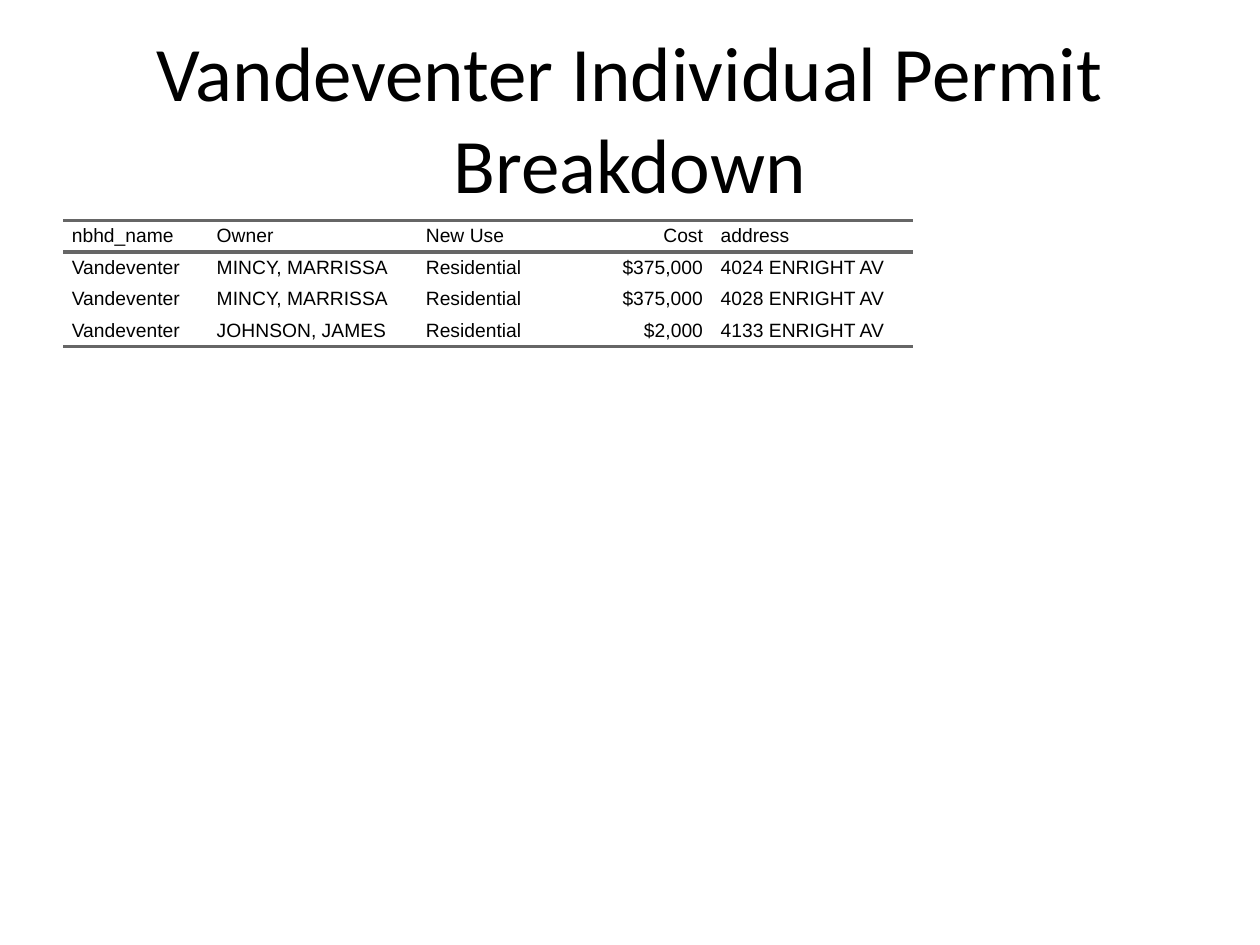
import dataclasses

import lxml.etree
import pptx
import pptx.dml.color
import pptx.enum.text
import pptx.oxml.ns
import pptx.util

Inches = pptx.util.Inches
ALIGN = pptx.enum.text.PP_ALIGN
MIDDLE = pptx.enum.text.MSO_ANCHOR.MIDDLE

HEADER = ("nbhd_name", "Owner", "New Use", "Cost", "address")
PERMITS = (
    ("Vandeventer", "MINCY, MARRISSA", "Residential", "$375,000", "4024 ENRIGHT AV"),
    ("Vandeventer", "MINCY, MARRISSA", "Residential", "$375,000", "4028 ENRIGHT AV"),
    ("Vandeventer", "JOHNSON, JAMES", "Residential", "$2,000", "4133 ENRIGHT AV"),
)
COLUMN_WIDTHS = (1.15, 1.66, 1.04, 1.3, 1.6)
ROW_HEIGHT = 0.25
COST_COLUMN = HEADER.index("Cost")


@dataclasses.dataclass(frozen=True)
class Theme:
    text: str = "000000"
    rule: str = "666666"
    rule_width: float = 2
    title_font: str = "Calibri"
    title_size: float = 44
    table_font: str = "Arial"
    table_size: float = 11
    cell_indent: float = 0.07


def set_all(target, values):
    for name, value in values.items():
        setattr(target, name, value)


class PageBuilder:
    def __init__(self, page, theme):
        self.page = page
        self.theme = theme

    def add_text(self, para, text, font, size, align):
        para.alignment = align
        span = para.add_run()
        span.text = text
        set_all(span.font, {"name": font, "size": pptx.util.Pt(size), "bold": False})
        span.font.color.rgb = pptx.dml.color.RGBColor.from_string(self.theme.text)

    def title(self, text, left, top, width, height):
        box = self.page.shapes.add_textbox(*map(Inches, (left, top, width, height)))
        set_all(box.text_frame, {"word_wrap": True, "vertical_anchor": MIDDLE})
        self.add_text(box.text_frame.paragraphs[0], text,
                      self.theme.title_font, self.theme.title_size, ALIGN.CENTER)

    def borders(self, cell, ruled_sides):
        """Rule the given sides (of L, R, T, B) and clear the others."""
        properties = cell._tc.get_or_add_tcPr()
        qn = pptx.oxml.ns.qn
        for position, side in enumerate("LRTB"):
            line = lxml.etree.Element(qn(f"a:ln{side}"))
            if side in ruled_sides:
                line.set("w", str(int(pptx.util.Pt(self.theme.rule_width))))
                fill = lxml.etree.SubElement(line, qn("a:solidFill"))
                lxml.etree.SubElement(fill, qn("a:srgbClr"), val=self.theme.rule)
            else:
                lxml.etree.SubElement(line, qn("a:noFill"))
            properties.insert(position, line)

    def cell(self, cell, text, align, ruled_sides):
        set_all(cell, {"margin_left": 0, "margin_right": 0, "margin_top": 0,
                       "margin_bottom": 0, "vertical_anchor": MIDDLE})
        cell.fill.background()
        self.borders(cell, ruled_sides)
        para = cell.text_frame.paragraphs[0]
        for side in ("marL", "marR"):
            para._p.get_or_add_pPr().set(side, str(int(Inches(self.theme.cell_indent))))
        self.add_text(para, text, self.theme.table_font, self.theme.table_size, align)

    def table(self, rows, left, top):
        frame = self.page.shapes.add_table(
            len(rows), len(COLUMN_WIDTHS), Inches(left), Inches(top),
            Inches(sum(COLUMN_WIDTHS)), Inches(ROW_HEIGHT * len(rows)))
        table = frame.table
        set_all(table, {"first_row": False, "horz_banding": False})
        for column, width in zip(table.columns, COLUMN_WIDTHS):
            column.width = Inches(width)
        ruled = {0: "TB", 1: "T", len(rows) - 1: "B"}
        for row_index, row in enumerate(rows):
            table.rows[row_index].height = Inches(ROW_HEIGHT)
            for column_index, text in enumerate(row):
                align = ALIGN.RIGHT if column_index == COST_COLUMN else ALIGN.LEFT
                self.cell(table.cell(row_index, column_index), text, align,
                          ruled.get(row_index, ""))


def main():
    deck = pptx.Presentation()
    set_all(deck, {"slide_width": Inches(10), "slide_height": Inches(7.5)})
    builder = PageBuilder(deck.slides.add_slide(deck.slide_layouts[6]), Theme())
    builder.title("Vandeventer Individual Permit Breakdown", 0.5, 0.3, 9, 1.25)
    builder.table((HEADER, *PERMITS), 0.5, 1.75)
    deck.save("out.pptx")


if __name__ == "__main__":
    main()
